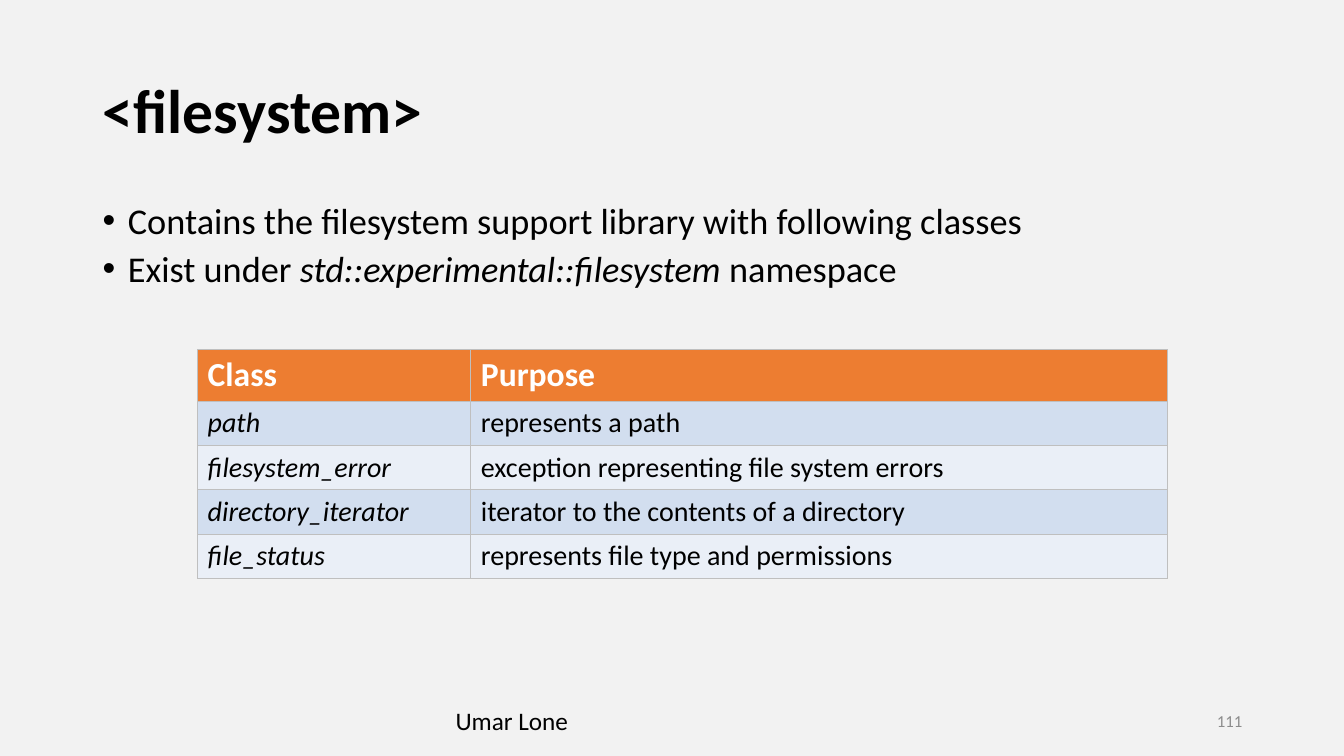
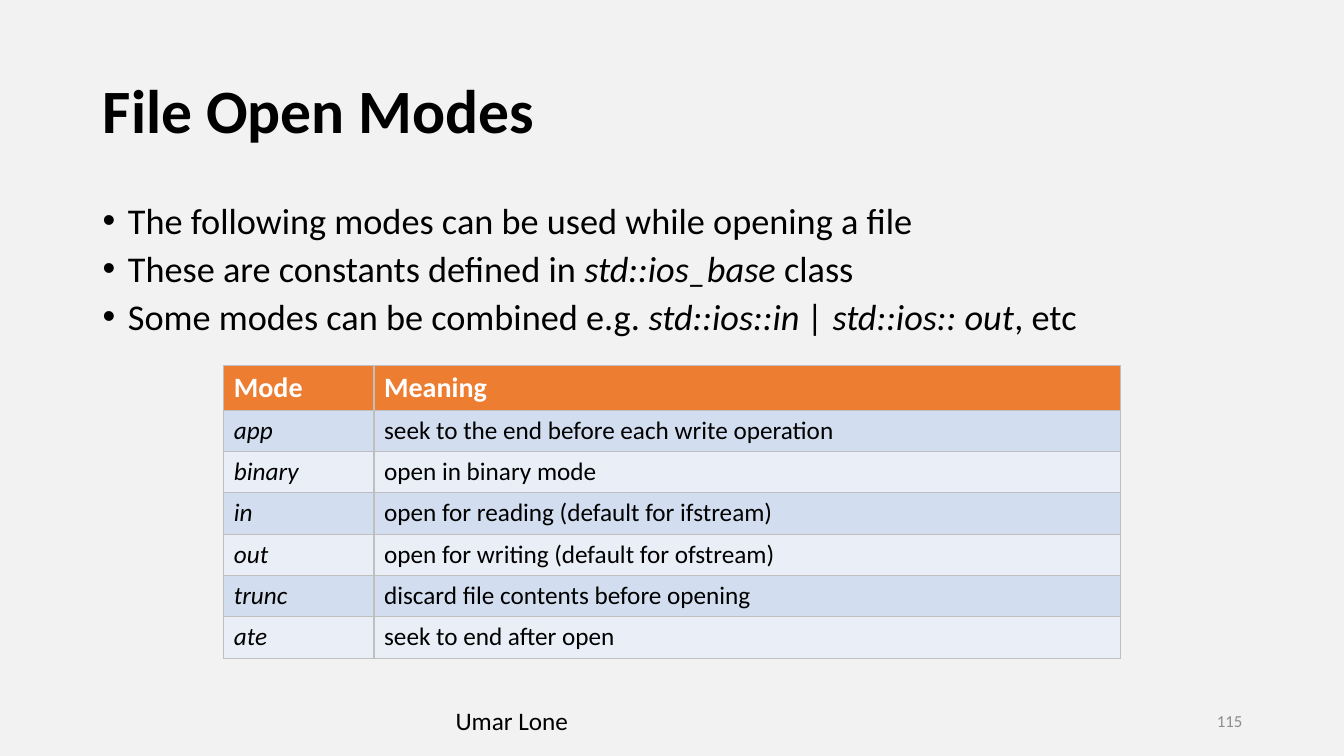
from lxml import etree
from pptx import Presentation
from pptx.dml.color import RGBColor
from pptx.enum import text as t
from pptx.oxml import ns
from pptx.util import Inches, Pt

FONT = "Calibri"
COLORS = {
    "background": "F2F2F2", "text": "000000", "number": "8C8C8C",
    "header": "ED7D31", "header_text": "FFFFFF", "border": "BFBFBF",
    "odd_row": "D2DEEF", "even_row": "EAEFF7",
}
AUTHOR = "Umar Lone"
MARGIN, CONTENT_WIDTH = 0.92, 11.5
FOOTER_TOP, FOOTER_HEIGHT = 6.95, 0.4

# Every second piece of a bullet is italic
SLIDES = [
    {
        "title": "<filesystem>",
        "number": "111",
        "bullets": [
            ["Contains the filesystem support library with following classes"],
            ["Exist under ", "std::experimental::filesystem ", "namespace"],
        ],
        "bullets_height": 0.95,
        "table": [
            ("Class", "Purpose"),
            ("path", "represents a path"),
            ("filesystem_error", "exception representing file system errors"),
            ("directory_iterator", "iterator to the contents of a directory"),
            ("file_status", "represents file type and permissions"),
        ],
        "corner": (1.96, 3.47), "columns": (2.71, 6.91),
        "row_heights": (0.51, 0.44), "sizes": (24, 20),
    },
    {
        "title": "File Open Modes",
        "number": "115",
        "bullets": [
            ["The following modes can be used while opening a file"],
            ["These are constants defined in ", "std::ios_base ", "class"],
            ["Some modes can be combined e.g. ",
             "std::ios::in | std::ios:: out", ", etc"],
        ],
        "bullets_height": 1.48,
        "table": [
            ("Mode", "Meaning"),
            ("app", "seek to the end before each write operation"),
            ("binary", "open in binary mode"),
            ("in", "open for reading (default for ifstream)"),
            ("out", "open for writing (default for ofstream)"),
            ("trunc", "discard file contents before opening"),
            ("ate", "seek to end after open"),
        ],
        "corner": (2.22, 3.63), "columns": (1.49, 7.4),
        "row_heights": (0.44, 0.41), "sizes": (20, 18),
    },
]


def rgb(name):
    return RGBColor.from_string(COLORS[name])


def write(para, text, size, color="text", bold=False, italic=False,
          align=t.PP_ALIGN.LEFT):
    para.alignment = align
    span = para.add_run()
    span.text = text
    font = span.font
    font.name, font.size = FONT, Pt(size)
    font.bold, font.italic = bold, italic
    font.color.rgb = rgb(color)


def add_box(page, left, top, width, height, anchor=t.MSO_ANCHOR.TOP):
    box = page.shapes.add_textbox(*map(Inches, (left, top, width, height)))
    box.text_frame.word_wrap = True
    box.text_frame.vertical_anchor = anchor
    return box.text_frame


def add_title(page, text):
    title = page.shapes.title
    title.left, title.top = Inches(MARGIN), Inches(0.4)
    title.width, title.height = Inches(CONTENT_WIDTH), Inches(1.45)
    title.text_frame.vertical_anchor = t.MSO_ANCHOR.MIDDLE
    para = title.text_frame.paragraphs[0]
    para.line_spacing = 0.9
    write(para, text, 44, bold=True)


def add_bullets(page, bullets, height):
    frame = add_box(page, MARGIN, 2, CONTENT_WIDTH, height)
    for index, pieces in enumerate(bullets):
        para = frame.add_paragraph() if index else frame.paragraphs[0]
        props = para._p.get_or_add_pPr()
        props.set("marL", str(Inches(0.25)))
        props.set("indent", str(Inches(-0.25)))
        etree.SubElement(props, ns.qn("a:buFont"), typeface="Arial")
        etree.SubElement(props, ns.qn("a:buChar"), char="•")
        para.line_spacing = 0.8
        if index:
            para.space_before = Pt(9.5)
        for position, piece in enumerate(pieces):
            write(para, piece, 25.9, italic=position % 2 == 1)


def add_borders(cell):
    props = cell._tc.get_or_add_tcPr()
    for side in ("lnL", "lnR", "lnT", "lnB"):
        line = etree.SubElement(props, ns.qn("a:" + side), w=str(Pt(1)))
        fill = etree.SubElement(line, ns.qn("a:solidFill"))
        etree.SubElement(fill, ns.qn("a:srgbClr"), val=COLORS["border"])


def add_class_table(page, rows, corner, columns, row_heights, sizes):
    header_height, body_height = row_heights
    height = header_height + body_height * (len(rows) - 1)
    table = page.shapes.add_table(
        len(rows), len(columns),
        *map(Inches, (*corner, sum(columns), height))).table
    for column, width in zip(table.columns, columns):
        column.width = Inches(width)
    for r, values in enumerate(rows):
        header = r == 0
        table.rows[r].height = Inches(header_height if header else body_height)
        fill = "header" if header else "odd_row" if r % 2 else "even_row"
        for c, value in enumerate(values):
            cell = table.cell(r, c)
            add_borders(cell)
            cell.fill.solid()
            cell.fill.fore_color.rgb = rgb(fill)
            write(cell.text_frame.paragraphs[0], value,
                  sizes[0] if header else sizes[1],
                  color="header_text" if header else "text",
                  bold=header, italic=not header and c == 0)


def add_footer(page, number):
    author = add_box(page, 4.42, FOOTER_TOP, 4.5, FOOTER_HEIGHT)
    write(author.paragraphs[0], AUTHOR, 18)
    counter = add_box(page, 9.42, FOOTER_TOP, 3, FOOTER_HEIGHT,
                      anchor=t.MSO_ANCHOR.MIDDLE)
    write(counter.paragraphs[0], number, 12, color="number",
          align=t.PP_ALIGN.RIGHT)


def main():
    deck = Presentation()
    deck.slide_width, deck.slide_height = Inches(13.33), Inches(7.5)
    background = deck.slide_master.background.fill
    background.solid()
    background.fore_color.rgb = rgb("background")
    for content in SLIDES:
        page = deck.slides.add_slide(deck.slide_layouts[5])
        add_title(page, content["title"])
        add_bullets(page, content["bullets"], content["bullets_height"])
        add_class_table(page, content["table"], content["corner"],
                        content["columns"], content["row_heights"],
                        content["sizes"])
        add_footer(page, content["number"])
    deck.save("out.pptx")


if __name__ == "__main__":
    main()
